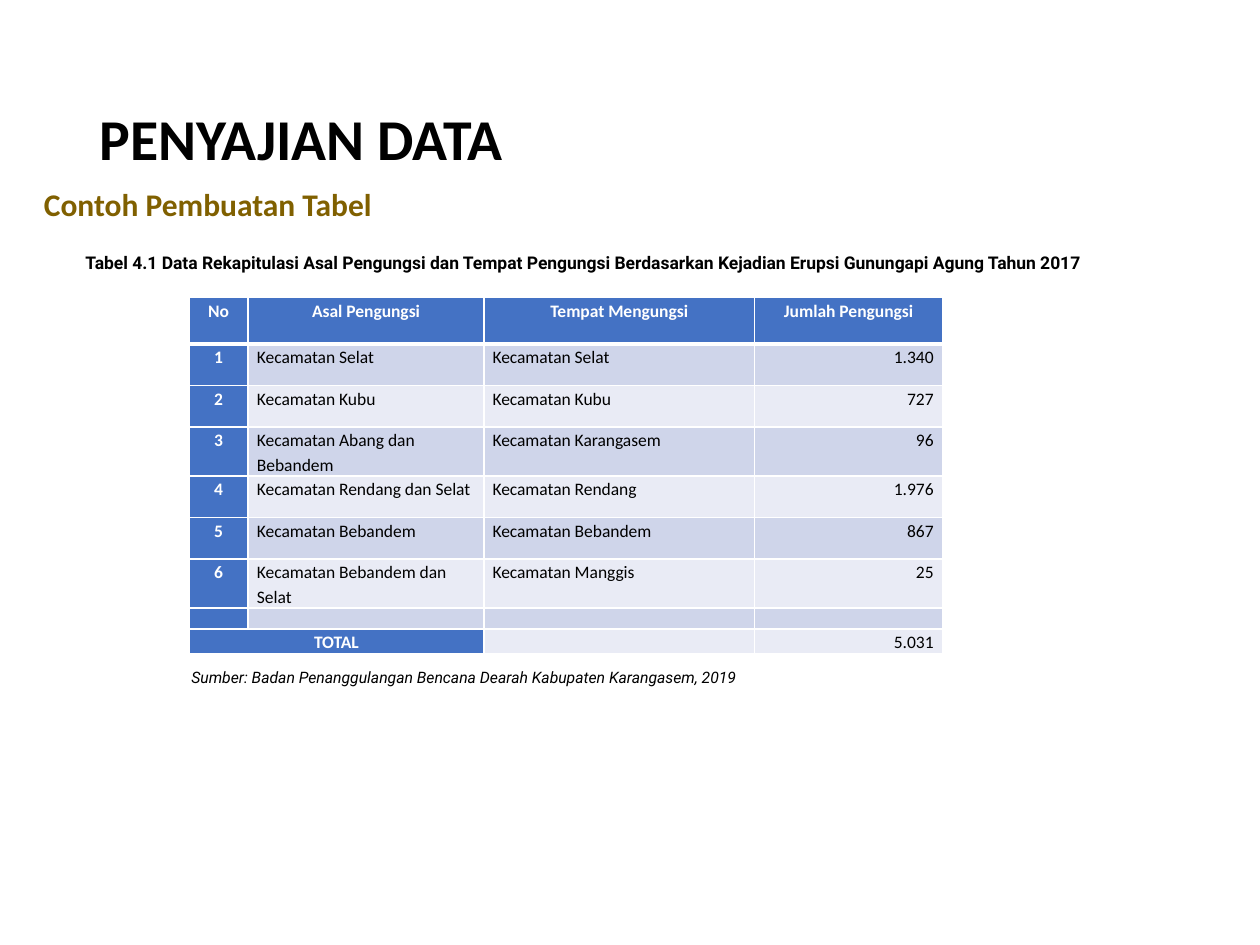
from dataclasses import dataclass

import pptx
import pptx.dml.color
import pptx.enum.text
import pptx.oxml
import pptx.oxml.ns
import pptx.util
from pptx.util import Inches

Align = pptx.enum.text.PP_ALIGN
Anchor = pptx.enum.text.MSO_ANCHOR

BLACK, WHITE, BLUE, GOLD = "000000", "FFFFFF", "4472C4", "806000"
BANDS = ("CFD5EA", "E9EBF5")

COLUMN_WIDTHS = (0.47, 1.87, 2.15, 1.49)
ROW_HEIGHTS = (0.37, *[0.33] * 6, 0.1, 0.17)
COLUMN_ALIGNMENTS = (Align.CENTER, Align.LEFT, Align.LEFT, Align.RIGHT)
ROWS = (
    ("No", "Asal Pengungsi", "Tempat Mengungsi", "Jumlah Pengungsi"),
    ("1", "Kecamatan Selat", "Kecamatan Selat", "1.340"),
    ("2", "Kecamatan Kubu", "Kecamatan Kubu", "727"),
    ("3", "Kecamatan Abang dan Bebandem", "Kecamatan Karangasem", "96"),
    ("4", "Kecamatan Rendang dan Selat", "Kecamatan Rendang", "1.976"),
    ("5", "Kecamatan Bebandem", "Kecamatan Bebandem", "867"),
    ("6", "Kecamatan Bebandem dan Selat", "Kecamatan Manggis", "25"),
    ("", "", "", ""),
    ("TOTAL", "", "", "5.031"),
)


@dataclass
class Caption:
    text: str
    left: float
    top: float
    width: float
    height: float
    font: str
    size: int
    color: str = BLACK
    bold: bool = False
    italic: bool = False
    wrap: bool = False
    align: Align = Align.LEFT
    anchor: Anchor = Anchor.TOP


CAPTIONS = (
    Caption("Tabel 4.1 Data Rekapitulasi Asal Pengungsi dan Tempat Pengungsi "
            "Berdasarkan Kejadian Erupsi Gunungapi Agung Tahun 2017",
            0.58, 1.95, 8.85, 0.27, "Roboto", 10, bold=True,
            align=Align.JUSTIFY, anchor=Anchor.MIDDLE),
    Caption("Sumber: Badan Penanggulangan Bencana Dearah Kabupaten Karangasem, 2019",
            1.42, 5.25, 6.08, 0.25, "Roboto", 9, italic=True, wrap=True,
            align=Align.JUSTIFY),
    Caption("Contoh Pembuatan Tabel", 0.25, 1.42, 2.83, 0.4, "Calibri", 18,
            color=GOLD, bold=True),
)


def rgb(color: str) -> pptx.dml.color.RGBColor:
    return pptx.dml.color.RGBColor.from_string(color)


def set_font(para, name: str, size: int, color: str, bold=False, italic=False) -> None:
    font = para.font
    font.name, font.size = name, pptx.util.Pt(size)
    font.bold, font.italic = bold, italic
    font.color.rgb = rgb(color)


def place(shape, left: float, top: float, width: float, height: float) -> None:
    shape.left, shape.top = Inches(left), Inches(top)
    shape.width, shape.height = Inches(width), Inches(height)


def add_title(page, text: str) -> None:
    title = page.shapes.title
    place(title, 0.69, 0.4, 8.62, 1.45)
    title.text_frame.text = text
    title.text_frame.vertical_anchor = Anchor.MIDDLE
    para = title.text_frame.paragraphs[0]
    para.alignment, para.line_spacing = Align.LEFT, 0.9
    set_font(para, "Calibri", 33, BLACK, bold=True)


def add_caption(page, caption: Caption) -> None:
    box = page.shapes.add_textbox(Inches(caption.left), Inches(caption.top),
                                  Inches(caption.width), Inches(caption.height))
    frame = box.text_frame
    frame.text = caption.text
    frame.word_wrap = caption.wrap
    frame.auto_size = pptx.enum.text.MSO_AUTO_SIZE.SHAPE_TO_FIT_TEXT
    frame.vertical_anchor = caption.anchor
    para = frame.paragraphs[0]
    para.alignment = caption.align
    set_font(para, caption.font, caption.size, caption.color, caption.bold, caption.italic)


def set_borders(cell, bottom_width: int) -> None:
    """Draw white lines on all four sides, 1 point wide except at the bottom."""
    properties = cell._tc.get_or_add_tcPr()
    sides = (("lnL", 1), ("lnR", 1), ("lnT", 1), ("lnB", bottom_width))
    for position, (side, width) in enumerate(sides):
        line = pptx.oxml.parse_xml(
            f'<a:{side} {pptx.oxml.ns.nsdecls("a")} w="{pptx.util.Pt(width)}">'
            f'<a:solidFill><a:srgbClr val="{WHITE}"/></a:solidFill></a:{side}>')
        properties.insert(position, line)


def format_cell(cell, text: str, row: int, column: int) -> None:
    is_heading = row == 0 or column == 0
    cell.margin_left = cell.margin_right = Inches(0.07)
    cell.margin_top = cell.margin_bottom = 0
    cell.fill.solid()
    cell.fill.fore_color.rgb = rgb(BLUE if is_heading else BANDS[(row - 1) % 2])
    set_borders(cell, 3 if row == 0 else 1)
    cell.text = text
    para = cell.text_frame.paragraphs[0]
    para.alignment = Align.CENTER if is_heading else COLUMN_ALIGNMENTS[column]
    para.line_spacing, para.space_before = 1.15, pptx.util.Pt(6)
    set_font(para, "Calibri", 10, WHITE if is_heading else BLACK, bold=is_heading)


def add_evacuee_table(page) -> None:
    frame = page.shapes.add_table(
        len(ROWS), len(COLUMN_WIDTHS), Inches(1.5), Inches(2.36),
        Inches(sum(COLUMN_WIDTHS)), Inches(sum(ROW_HEIGHTS)))
    table = frame.table
    table.first_col = True
    for column, width in zip(table.columns, COLUMN_WIDTHS):
        column.width = Inches(width)
    for row, height in zip(table.rows, ROW_HEIGHTS):
        row.height = Inches(height)
    for row, texts in enumerate(ROWS):
        for column, text in enumerate(texts):
            format_cell(table.cell(row, column), text, row, column)
    last = len(ROWS) - 1
    table.cell(last, 0).merge(table.cell(last, 1))


def main() -> None:
    deck = pptx.Presentation()
    deck.slide_width, deck.slide_height = Inches(10), Inches(7.5)
    page = deck.slides.add_slide(deck.slide_layouts.get_by_name("Title Only"))
    add_title(page, "PENYAJIAN DATA")
    add_evacuee_table(page)
    for caption in CAPTIONS:
        add_caption(page, caption)
    deck.save("out.pptx")


if __name__ == "__main__":
    main()
